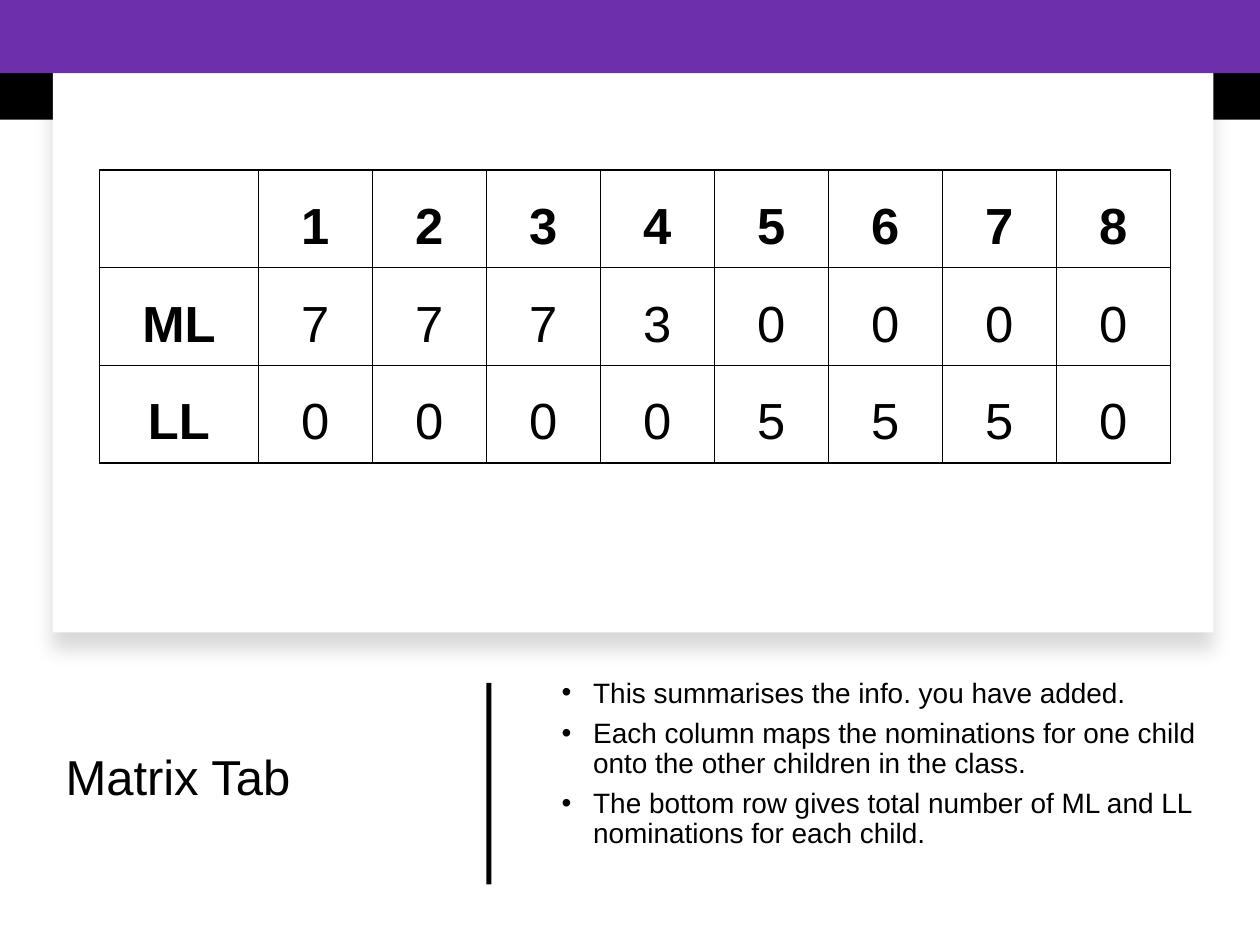
from dataclasses import dataclass

from lxml.etree import SubElement
from pptx import Presentation
from pptx.dml.color import RGBColor
from pptx.enum.shapes import MSO_SHAPE
from pptx.enum.text import MSO_ANCHOR, PP_ALIGN
from pptx.oxml.ns import qn
from pptx.util import Inches, Pt

FONT = "Arial"
COLORS = {"black": "000000", "white": "FFFFFF", "purple": "6D2FAB"}
ROWS = [
    ["", "1", "2", "3", "4", "5", "6", "7", "8"],
    ["ML", "7", "7", "7", "3", "0", "0", "0", "0"],
    ["LL", "0", "0", "0", "0", "5", "5", "5", "0"],
]
NOTES = [
    "This summarises the info. you have added.",
    "Each column maps the nominations for one child onto the other children in the class.",
    "The bottom row gives total number of ML and LL nominations for each child.",
]


@dataclass
class Panel:
    left: float
    top: float
    width: float
    height: float
    color: str
    shadow: bool = False


PANELS = [
    Panel(0, 0, 10, 0.95, "black"),
    Panel(0.42, 0, 9.21, 5.02, "white", shadow=True),
    Panel(3.86, 5.42, 0.04, 1.6, "black"),
    Panel(0, 0, 10, 0.58, "purple"),
]


def style(para, size: float, bold: bool = False) -> None:
    for run in para.runs:
        run.font.name = FONT
        run.font.size = Pt(size)
        run.font.bold = bold
        run.font.color.rgb = RGBColor.from_string(COLORS["black"])


def indent(para, left: float, first: float) -> None:
    props = para._p.get_or_add_pPr()
    props.set("marL", str(Inches(left)))
    props.set("indent", str(Inches(first)))


def add_color(parent, name: str):
    return SubElement(parent, qn("a:srgbClr"), val=COLORS[name])


def add_panel(slide, panel: Panel) -> None:
    shape = slide.shapes.add_shape(
        MSO_SHAPE.RECTANGLE, Inches(panel.left), Inches(panel.top),
        Inches(panel.width), Inches(panel.height))
    shape.fill.solid()
    shape.fill.fore_color.rgb = RGBColor.from_string(COLORS[panel.color])
    shape.line.fill.background()
    shape.shadow.inherit = False
    if panel.shadow:
        effects = shape._element.spPr.find(qn("a:effectLst"))
        shade = SubElement(effects, qn("a:outerShdw"), blurRad=str(Pt(11)),
                           dist=str(Pt(10)), dir="5400000", rotWithShape="0")
        SubElement(add_color(shade, "black"), qn("a:alpha"), val="15000")


def set_title(slide) -> None:
    title = slide.shapes.title
    title.left, title.top = Inches(0.42), Inches(5.34)
    title.width, title.height = Inches(3.18), Inches(1.7)
    frame = title.text_frame
    frame.text = "Matrix Tab"
    frame.word_wrap = True
    frame.vertical_anchor = MSO_ANCHOR.MIDDLE
    para = frame.paragraphs[0]
    para.alignment = PP_ALIGN.LEFT
    para.line_spacing = 0.9
    para.space_after = Pt(6)
    style(para, 28)


def add_notes(slide) -> None:
    box = slide.shapes.add_textbox(
        Inches(4.23), Inches(5.34), Inches(5.4), Inches(1.7))
    frame = box.text_frame
    frame.word_wrap = True
    frame.vertical_anchor = MSO_ANCHOR.TOP
    frame.text = "\n".join(NOTES)
    for i, para in enumerate(frame.paragraphs):
        indent(para, 0.38, -0.25)
        para.line_spacing = 0.9
        if i:
            para.space_before = Pt(5.6)
        props = para._p.get_or_add_pPr()
        add_color(SubElement(props, qn("a:buClr")), "black")
        SubElement(props, qn("a:buFont"), typeface=FONT)
        SubElement(props, qn("a:buChar"), char="•")
        style(para, 16)


def add_border(cell) -> None:
    props = cell._tc.get_or_add_tcPr()
    for i, side in enumerate(("lnL", "lnR", "lnT", "lnB")):
        line = props.makeelement(qn(f"a:{side}"), {"w": str(Pt(1))})
        props.insert(i, line)
        add_color(SubElement(line, qn("a:solidFill")), "black")


def fill_cell(cell, text: str, bold: bool) -> None:
    cell.fill.background()
    cell.margin_left = cell.margin_right = Inches(0.21)
    cell.margin_top = cell.margin_bottom = Inches(0.1)
    cell.vertical_anchor = MSO_ANCHOR.BOTTOM
    add_border(cell)
    if text:
        cell.text_frame.text = text
        para = cell.text_frame.paragraphs[0]
        para.alignment = PP_ALIGN.CENTER
        indent(para, 0.38, -0.38)
        style(para, 29, bold)


def add_matrix(slide) -> None:
    table = slide.shapes.add_table(
        len(ROWS), len(ROWS[0]), Inches(0.79), Inches(1.35),
        Inches(8.5), Inches(2.33)).table
    table.first_row = table.horz_banding = False
    for c, col in enumerate(table.columns):
        col.width = Inches(0.905 if c else 1.26)
    for r, row in enumerate(ROWS):
        table.rows[r].height = Inches(0.775)
        for c, text in enumerate(row):
            fill_cell(table.cell(r, c), text, bold=r == 0 or c == 0)


def main() -> None:
    deck = Presentation()
    deck.slide_width, deck.slide_height = Inches(10), Inches(7.5)
    slide = deck.slides.add_slide(deck.slide_layouts[5])
    set_title(slide)
    for panel in PANELS:
        add_panel(slide, panel)
    add_notes(slide)
    add_matrix(slide)
    deck.save("out.pptx")


if __name__ == "__main__":
    main()
